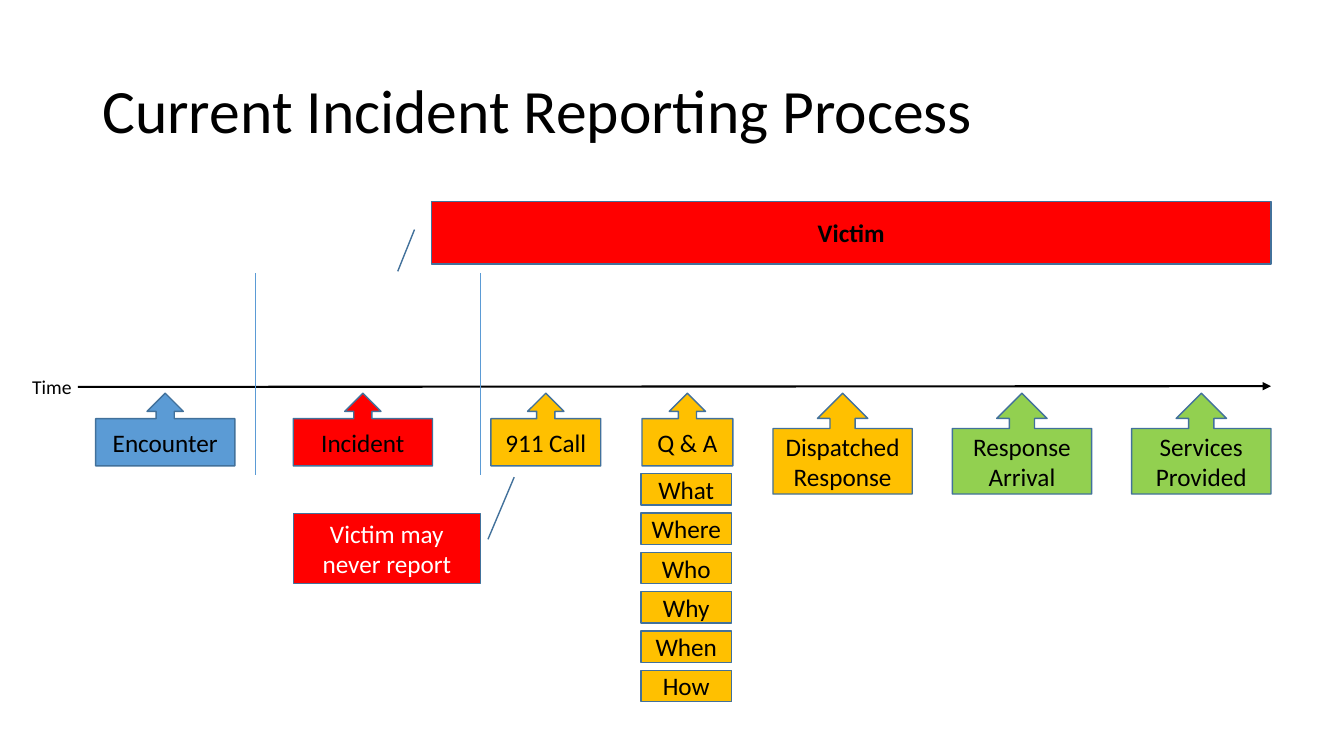
from dataclasses import dataclass

from pptx import Presentation
from pptx import util as u
from pptx.dml.color import RGBColor
from pptx.enum import shapes, text
from pptx.oxml import parse_xml
from pptx.oxml.ns import nsdecls, qn


@dataclass(frozen=True)
class Theme:
    font: str = "Calibri"
    title_size: int = 44
    label_size: int = 18
    axis_size: int = 14
    black: str = "000000"
    white: str = "FFFFFF"
    blue: str = "5B9BD5"
    outline: str = "42719B"
    red: str = "FF0000"
    amber: str = "FFC000"
    green: str = "92D050"


THEME = Theme()


def write(shape, words, size, color=THEME.black, bold=False, align=None):
    frame = shape.text_frame
    frame.text = words
    for para in frame.paragraphs:
        para.alignment = align
        for span in para.runs:
            span.font.name = THEME.font
            span.font.size = u.Pt(size)
            span.font.bold = bold
            span.font.color.rgb = RGBColor.from_string(color)


def add_text(page, box, words, size, wrap):
    label = page.shapes.add_textbox(*map(u.Cm, box))
    label.text_frame.word_wrap = wrap
    write(label, words, size)
    return label


def add_block(page, kind, box, words, fill, color=THEME.black, bold=False, adjust=()):
    block = page.shapes.add_shape(kind, *map(u.Cm, box))
    block.shadow.inherit = False
    block.fill.solid()
    block.fill.fore_color.rgb = RGBColor.from_string(fill)
    block.line.color.rgb = RGBColor.from_string(THEME.outline)
    block.line.width = u.Pt(1)
    for index, value in enumerate(adjust):
        block.adjustments[index] = value
    block.text_frame.word_wrap = True
    block.text_frame.vertical_anchor = text.MSO_ANCHOR.MIDDLE
    write(block, words, THEME.label_size, color, bold, text.PP_ALIGN.CENTER)


def add_line(page, ends, color, width):
    line = page.shapes.add_connector(shapes.MSO_CONNECTOR.STRAIGHT, *map(u.Cm, ends))
    line.line.color.rgb = RGBColor.from_string(color)
    line.line.width = u.Pt(width)
    properties = line._element.find(qn("p:spPr"))
    properties.append(parse_xml(f"<a:effectLst {nsdecls('a')}/>"))
    return line


def add_title(page, box):
    title = add_text(page, box, "Current Incident Reporting Process", THEME.title_size, True)
    title.text_frame.vertical_anchor = text.MSO_ANCHOR.MIDDLE
    title.text_frame.paragraphs[0].line_spacing = 0.9


def add_time_axis(page, box):
    left, top, width, height = box
    axis = add_line(page, (left, top + height, left + width, top), THEME.black, 1.5)
    axis.line._get_or_add_ln().append(parse_xml(f'<a:tailEnd {nsdecls("a")} type="triangle"/>'))
    add_text(page, (left - 1.4, top - 0.41, 1.57, 0.86), "Time", THEME.axis_size, False)


def add_dividers(page, box):
    left, top, width, height = box
    for x in (left, left + width):
        add_line(page, (x, top, x, top + height), THEME.blue, 0.75)


def add_stages(page, box):
    left, top, width, height = box
    short, wide, step = 1.83, 3.51, 4.52
    last = left + width - wide
    stages = [
        (left, wide, short, "Encounter", THEME.blue),
        (left + 4.98, wide, short, "Incident", THEME.red),
        (left + 9.96, 2.77, short, "911 Call", THEME.amber),
        (left + 13.77, 2.29, short, "Q & A", THEME.amber),
        (last - 2 * step, wide, height, "Dispatched\nResponse", THEME.amber),
        (last - step, wide, height, "Response Arrival", THEME.green),
        (last, wide, height, "Services Provided", THEME.green),
    ]
    for x, stage_width, stage_height, words, fill in stages:
        add_block(page, shapes.MSO_SHAPE.UP_ARROW_CALLOUT, (x, top, stage_width, stage_height),
                  words, fill, adjust=(0.25, 0.25, 0.25, 0.65))


def add_questions(page, box):
    left, top, width, height = box
    questions = ("What", "Where", "Who", "Why", "When", "How")
    row = 0.79
    step = (height - row) / (len(questions) - 1)
    for index, words in enumerate(questions):
        add_block(page, shapes.MSO_SHAPE.FLOWCHART_PROCESS,
                  (left, top + index * step, width, row), words, THEME.amber)


def add_victim_bar(page, box):
    add_block(page, shapes.MSO_SHAPE.LINE_CALLOUT_1, box, "Victim", THEME.red,
              bold=True, adjust=(0.45, -0.02, 1.12, -0.04))


def add_unreported_note(page, box):
    add_block(page, shapes.MSO_SHAPE.LINE_CALLOUT_1, box, "Victim may never report",
              THEME.red, THEME.white, adjust=(0.37, 1.04, -0.52, 1.18))


def main():
    deck = Presentation()
    deck.slide_width, deck.slide_height = u.Cm(33.87), u.Cm(19.05)
    page = deck.slides.add_slide(deck.slide_layouts[6])
    add_title(page, (2.33, 1.01, 29.21, 3.68))
    add_time_axis(page, (1.96, 9.73, 30.07, 0.02))
    add_dividers(page, (6.43, 6.88, 5.69, 5.08))
    add_stages(page, (2.41, 9.91, 29.62, 2.54))
    add_questions(page, (16.15, 11.94, 2.29, 5.74))
    add_victim_bar(page, (10.87, 5.08, 21.16, 1.57))
    add_unreported_note(page, (7.39, 12.94, 4.72, 1.76))
    deck.save("out.pptx")


if __name__ == "__main__":
    main()
